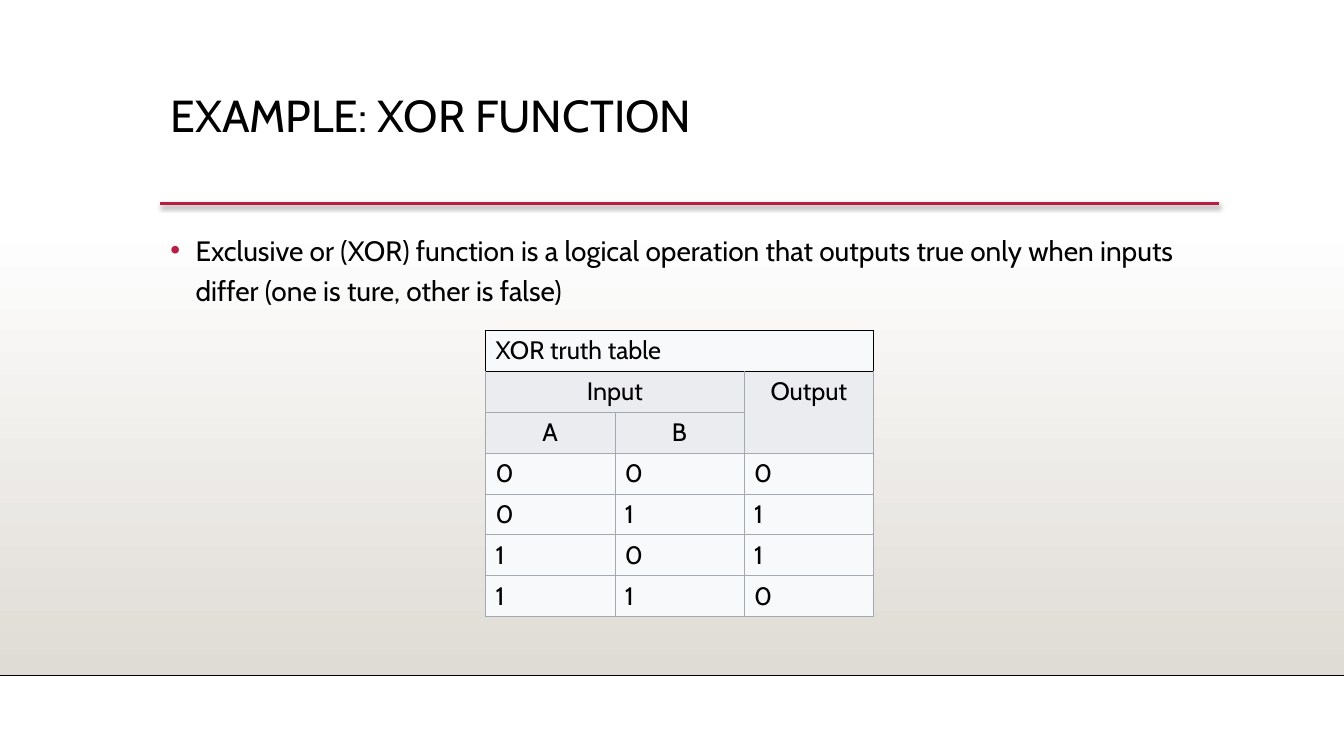
from dataclasses import dataclass

from lxml.etree import SubElement
from pptx import Presentation
from pptx.dml.color import RGBColor as RGB
from pptx.enum.shapes import MSO_CONNECTOR as Connector, MSO_SHAPE as Shape
from pptx.enum.text import MSO_ANCHOR as Anchor, MSO_AUTO_SIZE as AutoSize, PP_ALIGN as Align
from pptx.oxml.ns import qn
from pptx.util import Pt


@dataclass(frozen=True)
class Theme:
    font: str = "Cabin"
    text: str = "000000"
    paper: str = "FFFFFF"
    floor: str = "DFDBD5"
    accent: str = "B71E42"
    head: str = "EAECF0"
    cell: str = "F8F9FA"
    grid: str = "A2A9B1"
    title_size: float = 32
    body_size: float = 20
    table_size: float = 18


def apply(obj, fmt):
    for name, value in fmt.items():
        setattr(obj, name, value)


def add_node(parent, tag, **attrs):
    return SubElement(parent, qn(tag), {k: str(v) for k, v in attrs.items()})


def add_color(parent, color):
    return add_node(parent, "a:srgbClr", val=color)


class SlideBuilder:
    def __init__(self, slide, theme):
        self.slide = slide
        self.shapes = slide.shapes
        self.theme = theme

    def add_text(self, p, text, size, **fmt):
        r = p.add_run()
        r.text = text
        apply(r.font, {"name": self.theme.font, "size": Pt(size)})
        r.font.color.rgb = RGB.from_string(self.theme.text)
        apply(p, fmt)

    def gradient(self, x, y, w, h):
        sp = self.shapes.add_shape(Shape.RECTANGLE, Pt(x), Pt(y), Pt(w), Pt(h))
        sp.shadow.inherit = False
        sp.line.fill.background()
        sp.fill.gradient()
        sp.fill.gradient_angle = 270
        for stop, color in zip(sp.fill.gradient_stops, (self.theme.paper, self.theme.floor)):
            stop.color.rgb = RGB.from_string(color)

    def rule(self, x1, x2, y, color, width, shadow=False):
        line = self.shapes.add_connector(Connector.STRAIGHT, Pt(x1), Pt(y), Pt(x2), Pt(y))
        line.line.color.rgb = RGB.from_string(color)
        line.line.width = Pt(width)
        effects = add_node(line._element.spPr, "a:effectLst")
        if shadow:
            outer = add_node(effects, "a:outerShdw", blurRad=Pt(3.1), dist=Pt(1.8),
                             dir=5400000, algn="t", rotWithShape=0)
            add_node(add_color(outer, self.theme.text), "a:alpha", val=35000)

    def placeholder(self, sp, text, size, x, y, w, h, **fmt):
        apply(sp, {"left": Pt(x), "top": Pt(y), "width": Pt(w), "height": Pt(h)})
        tf = sp.text_frame
        apply(tf, {"word_wrap": True, "auto_size": AutoSize.NONE, "vertical_anchor": Anchor.TOP})
        p = tf.paragraphs[0]
        self.add_text(p, text, size, alignment=Align.LEFT, **fmt)
        self.shapes._spTree.append(sp._element)
        return p

    def title(self, text, *box):
        self.placeholder(self.shapes.title, text, self.theme.title_size, *box, line_spacing=0.9)

    def bullet(self, text, *box):
        p = self.placeholder(self.slide.placeholders[1], text, self.theme.body_size, *box,
                             line_spacing=1.2, space_before=Pt(10))
        pPr = p._p.get_or_add_pPr()
        pPr.set("marL", str(Pt(18)))
        pPr.set("indent", str(Pt(-18)))
        add_color(add_node(pPr, "a:buClr"), self.theme.accent)
        add_node(pPr, "a:buFont", typeface="Arial")
        add_node(pPr, "a:buChar", char="•")

    def border(self, cell, colors):
        tcPr = cell._tc.get_or_add_tcPr()
        for side, color in colors.items():
            ln = add_node(tcPr, f"a:ln{side}", w=Pt(0.5))
            add_color(add_node(ln, "a:solidFill"), color)

    def table(self, rows, merges, x, y, col_w, row_h):
        th = self.theme
        n_rows, n_cols = len(rows), len(rows[0])
        table = self.shapes.add_table(n_rows, n_cols, Pt(x), Pt(y),
                                      Pt(col_w * n_cols), Pt(row_h * n_rows)).table
        apply(table, {"first_row": False, "horz_banding": False})
        for col in table.columns:
            col.width = Pt(col_w)
        for i, row in enumerate(rows):
            table.rows[i].height = Pt(row_h)
            is_head = i in (1, 2)
            edge = th.text if i == 0 else th.grid
            colors = dict.fromkeys("LRTB", edge)
            if i == 1:
                colors["T"] = th.text
            for j, text in enumerate(row):
                cell = table.cell(i, j)
                self.border(cell, colors)
                cell.fill.solid()
                cell.fill.fore_color.rgb = RGB.from_string(th.head if is_head else th.cell)
                if text:
                    self.add_text(cell.text_frame.paragraphs[0], text, th.table_size,
                                  alignment=Align.CENTER if is_head else Align.LEFT)
        for start, end in merges:
            table.cell(*start).merge(table.cell(*end))


def main():
    prs = Presentation()
    apply(prs, {"slide_width": Pt(960), "slide_height": Pt(540)})
    theme = Theme()
    s = SlideBuilder(prs.slides.add_slide(prs.slide_layouts[1]), theme)

    s.gradient(0, 159, 960, 323.4)
    s.rule(0, 960, 482.4, theme.text, 1)
    s.rule(114.5, 871, 145.4, theme.accent, 2.5, shadow=True)
    s.title("EXAMPLE: XOR FUNCTION", 114.5, 63.4, 756, 82.6)
    s.bullet("Exclusive or (XOR) function is a logical operation that outputs true only "
             "when inputs differ (one is ture, other is false)", 114.5, 158.4, 756, 271.4)

    truth = [[str(a), str(b), str(a ^ b)] for a in (0, 1) for b in (0, 1)]
    rows = [["XOR truth table", "", ""], ["Input", "", "Output"], ["A", "B", ""]] + truth
    merges = [((0, 0), (0, 2)), ((1, 0), (1, 1)), ((1, 2), (2, 2))]
    s.table(rows, merges, x=346.8, y=236, col_w=92.4, row_h=29.1)

    prs.save("out.pptx")


if __name__ == "__main__":
    main()
